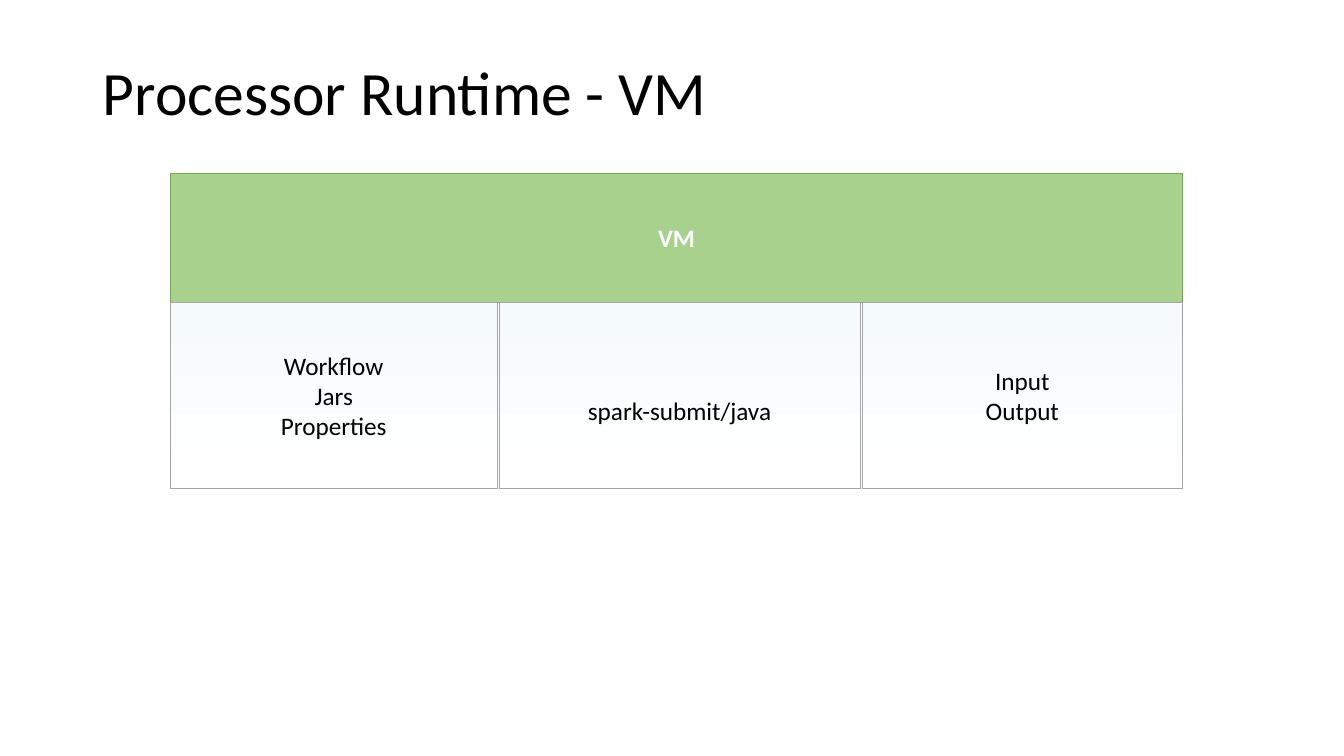
from pptx import Presentation
from pptx.dml.color import RGBColor
from pptx.enum.shapes import MSO_SHAPE as SHAPE
from pptx.enum.text import MSO_ANCHOR as ANCHOR, PP_ALIGN as ALIGN
from pptx.util import Inches, Pt

COLORS = {
    "text": "000000",
    "header_text": "FFFFFF",
    "header": "A9D18E",
    "header_line": "70AD47",
    "cell_top": "F5FAFB",
    "cell_bottom": "FFFFFF",
    "cell_line": "A5A5A5",
}
TITLE = {"size": Pt(44), "bold": False}
HEADER = {"size": Pt(18), "bold": True}
BODY = {"size": Pt(18), "bold": False}


def rgb(name):
    return RGBColor.from_string(COLORS[name])


class RuntimeSlide:
    FONT = "Calibri"
    CELL = 0.1  # inches per grid column and row

    def __init__(self, prs):
        self.slide = prs.slides.add_slide(prs.slide_layouts[5])

    def grid(self, *cells):
        return [Inches(n * self.CELL) for n in cells]

    def add_lines(self, tf, lines, color, style, align, spacing=1.0):
        tf.word_wrap = True
        tf.vertical_anchor = ANCHOR.MIDDLE
        for i, line in enumerate(lines):
            p = tf.paragraphs[0] if i == 0 else tf.add_paragraph()
            p.alignment = align
            p.line_spacing = spacing
            r = p.add_run()
            r.text = line
            for name, value in {"name": self.FONT, **style}.items():
                setattr(r.font, name, value)
            r.font.color.rgb = rgb(color)

    def title(self, text, box):
        sp = self.slide.shapes.title
        sp.left, sp.top, sp.width, sp.height = self.grid(*box)
        self.add_lines(sp.text_frame, [text], "text", TITLE, ALIGN.LEFT, 0.9)

    def block(self, lines, box, fills, line, color="text", style=BODY, drop=0):
        """Draw a text box filled from top to bottom; drop is extra top inset in rows."""
        sp = self.slide.shapes.add_shape(SHAPE.RECTANGLE, *self.grid(*box))
        sp.shadow.inherit = False
        if len(fills) == 1:
            sp.fill.solid()
            sp.fill.fore_color.rgb = rgb(fills[0])
        else:
            sp.fill.gradient()
            sp.fill.gradient_angle = 270
            for stop, name in zip(sp.fill.gradient_stops, fills):
                stop.color.rgb = rgb(name)
        sp.line.color.rgb = rgb(line)
        sp.line.width = Pt(0.5)
        tf = sp.text_frame
        tf.margin_top += self.grid(drop)[0]
        self.add_lines(tf, lines, color, style, ALIGN.CENTER)


def main():
    prs = Presentation()
    prs.slide_width, prs.slide_height = Inches(13.33), Inches(7.5)
    page = RuntimeSlide(prs)
    page.title("Processor Runtime - VM", (9.2, 4, 115, 10.9))

    left, top, header_height, gap = 16.9, 17.2, 12.8, 0.2
    parts = [
        (32.4, ["Workflow", "Jars", "Properties"], 0),
        (35.8, ["spark-submit/java"], 3),
        (31.8, ["Input", "Output"], 0),
    ]
    total = sum(width for width, *_ in parts) + gap * (len(parts) - 1)
    page.block(["VM"], (left, top, total, header_height), ["header"],
               "header_line", "header_text", HEADER)
    for width, lines, drop in parts:
        page.block(lines, (left, top + header_height, width, 18.5),
                   ["cell_top", "cell_bottom"], "cell_line", drop=drop)
        left += width + gap

    prs.save("out.pptx")


if __name__ == "__main__":
    main()
